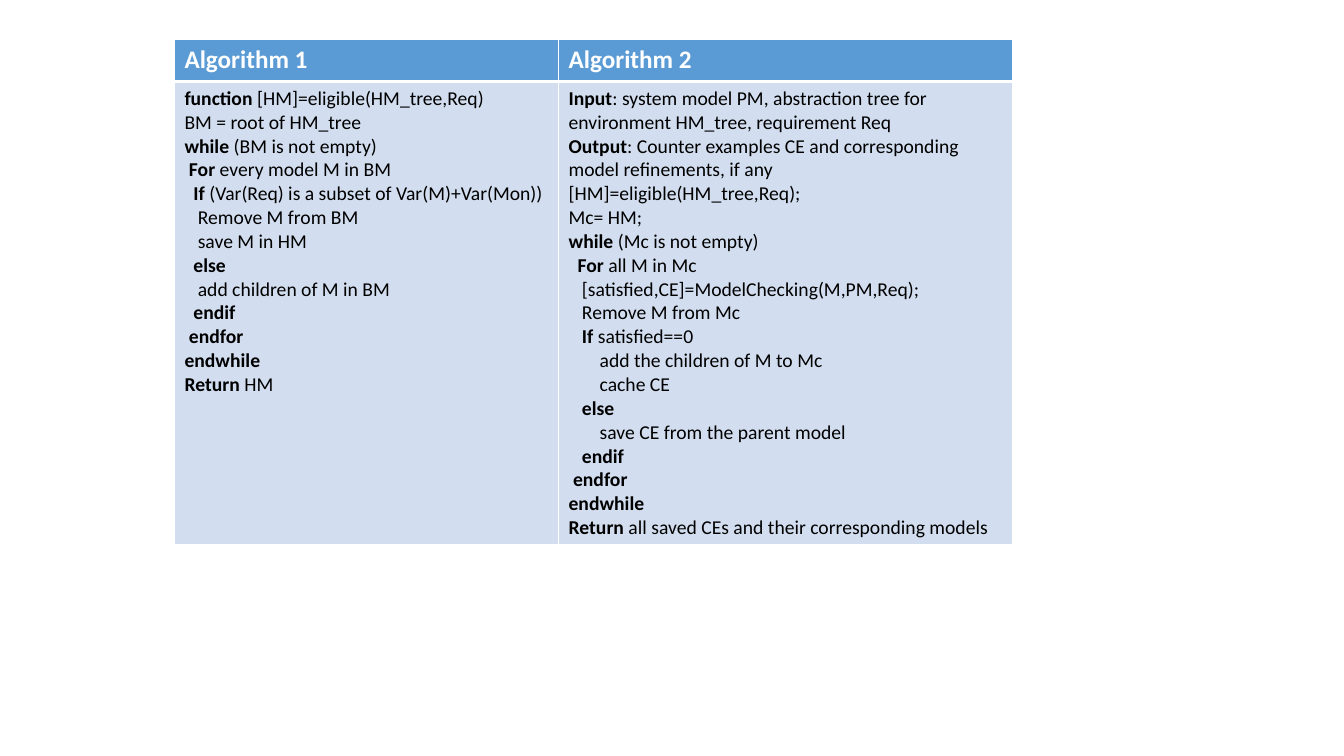
from lxml.etree import SubElement as Sub
from pptx import Presentation as Deck
from pptx.dml.color import RGBColor as Rgb
from pptx.oxml.ns import qn
from pptx.util import Inches, Pt

WHITE, BLACK, BLUE, PALE = "FFFFFF", "000000", "5B9BD5", "D2DEEF"
WORDS = {"function", "while", "For", "If", "else", "endif", "endfor",
         "endwhile", "Return", "Input", "Output"}

FIRST = """function [HM]=eligible(HM_tree,Req)
BM = root of HM_tree
while (BM is not empty)
 For every model M in BM
  If (Var(Req) is a subset of Var(M)+Var(Mon))
   Remove M from BM
   save M in HM
  else
   add children of M in BM
  endif
 endfor
endwhile
Return HM"""

SECOND = """Input: system model PM, abstraction tree for environment HM_tree, requirement Req
Output: Counter examples CE and corresponding model refinements, if any
[HM]=eligible(HM_tree,Req);
Mc= HM;
while (Mc is not empty)
  For all M in Mc
   [satisfied,CE]=ModelChecking(M,PM,Req);
   Remove M from Mc
   If satisfied==0
       add the children of M to Mc
       cache CE
   else
       save CE from the parent model
   endif
 endfor
endwhile
Return all saved CEs and their corresponding models"""


def color(code):
    return Rgb.from_string(code)


def style(run, size, code, bold):
    font = run.font
    font.name = "Calibri"
    font.size = Pt(size)
    font.bold = bold
    font.color.rgb = color(code)


def border(cell, base):
    props = cell._tc.get_or_add_tcPr()
    for side in "LRTB":
        width = base if side == "B" else 1
        line = Sub(props, qn("a:ln" + side), w=str(Pt(width)))
        fill = Sub(line, qn("a:solidFill"))
        Sub(fill, qn("a:srgbClr"), val=WHITE)


def paint(cell, code, base=1):
    border(cell, base)
    cell.fill.solid()
    cell.fill.fore_color.rgb = color(code)


def head(cell, text):
    paint(cell, BLUE, 3)
    cell.text_frame.text = text
    style(cell.text_frame.paragraphs[0].runs[0], 18, WHITE, True)


def split(line):
    word = line.split()[0].rstrip(":")
    if word not in WORDS:
        return [(line, False)]
    lead, rest = line.split(word, 1)
    parts = [(lead, False), (word, True), (rest, False)]
    return [part for part in parts if part[0]]


def code(cell, text):
    paint(cell, PALE)
    cell.text_frame.text = text
    for para in cell.text_frame.paragraphs:
        parts = split(para.text)
        para.clear()
        for piece, bold in parts:
            run = para.add_run()
            run.text = piece
            style(run, 14, BLACK, bold)


def main():
    deck = Deck()
    deck.slide_width, deck.slide_height = Inches(13.33), Inches(7.5)
    slide = deck.slides.add_slide(deck.slide_layouts[6])
    table = slide.shapes.add_table(
        2, 2, Inches(1.73), Inches(0.39), Inches(8.31), Inches(4.95)).table
    for row, height in zip(table.rows, (0.42, 4.53)):
        row.height = Inches(height)
    for col, width in zip(table.columns, (3.81, 4.5)):
        col.width = Inches(width)
    for col, text in enumerate((FIRST, SECOND)):
        head(table.cell(0, col), f"Algorithm {col + 1}")
        code(table.cell(1, col), text)
    deck.save("out.pptx")


if __name__ == "__main__":
    main()
